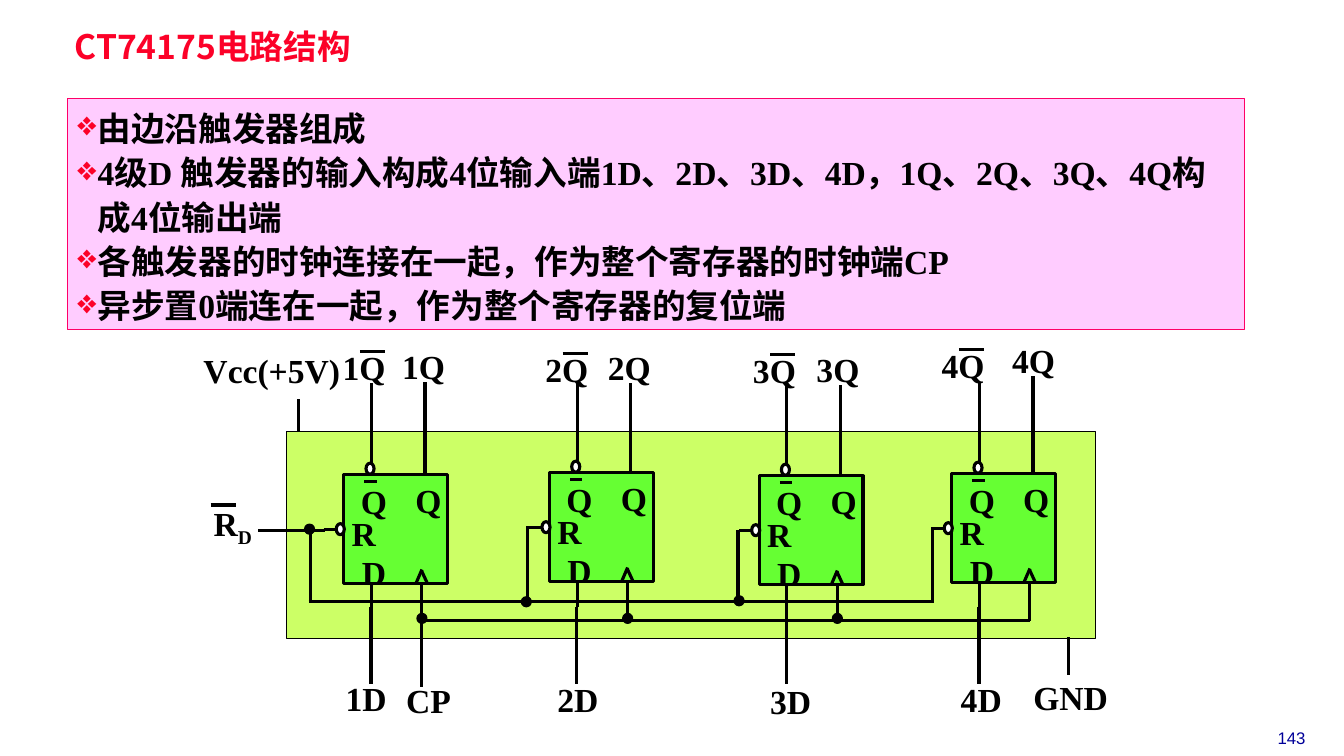
from lxml import etree
from pptx import Presentation, util as u
from pptx.dml.color import RGBColor
from pptx.enum import shapes, text
from pptx.oxml.ns import qn

BLACK, WHITE, RED = "000000", "FFFFFF", "FC0128"
ROMAN, HAN = "Times New Roman", "Noto Sans CJK SC"


def tint(code):
    return RGBColor.from_string(code)


class Board:
    """Draws styled elements on one slide, in grid cells of a tenth of an inch."""

    cell = u.Inches(0.1)
    pen = 2.25

    def __init__(self, slide):
        self.items = slide.shapes

    def span(self, *cells):
        return [round(n * self.cell) for n in cells]

    def shape(self, box, fill, kind="RECTANGLE", edge=BLACK, pen=pen):
        item = self.items.add_shape(
            getattr(shapes.MSO_SHAPE, kind), *self.span(*box))
        item.shadow.inherit = False
        item.fill.solid()
        item.fill.fore_color.rgb = tint(fill)
        item.line.color.rgb = tint(edge)
        item.line.width = u.Pt(pen)
        return item

    def line(self, x1, y1, x2, y2):
        item = self.items.add_connector(
            shapes.MSO_CONNECTOR.STRAIGHT, *self.span(x1, y1, x2, y2))
        item.line.color.rgb = tint(BLACK)
        item.line.width = u.Pt(self.pen)
        etree.SubElement(item._element.spPr, qn("a:effectLst"))

    def dot(self, x, y):
        self.shape((x, y, 0.8, 0.8), BLACK, "OVAL")

    def ring(self, x, y):
        self.shape((x, y, 0.8, 1.1), WHITE, "OVAL")

    def run(self, para, words, size=24, face=ROMAN, color=BLACK, bold=True):
        run = para.add_run()
        run.text = words
        font = run.font
        font.size, font.name, font.bold = u.Pt(size), face, bold
        font.color.rgb = tint(color)
        etree.SubElement(font._element, qn("a:ea")).set("typeface", HAN)
        return run

    def label(self, words, x, y, wide, high=5, **style):
        item = self.items.add_textbox(*self.span(x, y, wide, high))
        frame = item.text_frame
        frame.word_wrap = True
        self.run(frame.paragraphs[0], words, **style)
        return frame

    def bullets(self, item, lines):
        frame = item.text_frame
        frame.word_wrap = True
        frame.vertical_anchor = text.MSO_ANCHOR.TOP
        for i, words in enumerate(lines):
            para = frame.add_paragraph() if i else frame.paragraphs[0]
            para.alignment = text.PP_ALIGN.LEFT
            para.line_spacing = 1.1
            props = para._p.get_or_add_pPr()
            indent = self.span(2)[0]
            props.set("marL", str(indent))
            props.set("indent", str(-indent))
            hue = etree.SubElement(props, qn("a:buClr"))
            etree.SubElement(hue, qn("a:srgbClr")).set("val", RED)
            etree.SubElement(props, qn("a:buChar")).set("char", "❖")
            self.run(para, words)


def flip(board, x, y):
    board.shape((x, y, 10.3, 10.8), "66FF33")
    board.ring(x - 0.75, y + 4.85)
    board.ring(x + 2.2, y - 1.15)
    for x1, y1, x2, y2 in (
            (-2, 5.4, -0.7, 5.4), (2.75, 10.8, 2.75, 13.3),
            (7.75, 10.8, 7.75, 13.3), (7.15, 10.8, 7.75, 9.4),
            (7.7, 9.5, 8.3, 10.8), (2.05, 0.7, 3.25, 0.7),
            (8.05, -2.4, 8.05, 0.1), (2.75, -3.5, 2.75, -1)):
        board.line(x + x1, y + y1, x + x2, y + y2)
    for words, dx, dy, wide in (("R", -0.2, 3.3, 2), ("D", 0.8, 7.2, 2.4),
                                ("Q", 6.1, 0, 2.5), ("Q", 0.7, 0.15, 2.1)):
        board.label(words, x + dx, y + dy, wide)


STAGES = (
    ((34.1, 47.1), (33, 33.9), (38.9, 33.8), (33.3, 66.8)),
    ((54.5, 46.9), (53.1, 34.1), (59.3, 33.9), (54.3, 66.9)),
    ((75.3, 47.2), (73.7, 34.2), (80, 34.1), (75.4, 67.1)),
    ((94.4, 47), (92.4, 33.7), (99.4, 33.2), (94.3, 66.9)),
)


def main():
    deck = Presentation()
    deck.slide_width, deck.slide_height = u.Inches(13.33), u.Inches(7.5)
    board = Board(deck.slides.add_slide(deck.slide_layouts[6]))

    page = board.label("143", 123.4, 71.7, 9.4, 3, size=12, face="Arial",
                       color="000099", bold=False)
    page.paragraphs[0].alignment = text.PP_ALIGN.CENTER

    panel = board.shape((6.7, 9.8, 116.7, 22.9), "FFCCFF",
                        edge="FF0066", pen=0.75)
    board.bullets(panel, (
        "由边沿触发器组成",
        "4级D 触发器的输入构成4位输入端1D、2D、3D、4D，1Q、2Q、3Q、4Q构成4位输出端",
        "各触发器的时钟连接在一起，作为整个寄存器的时钟端CP",
        "异步置0端连在一起，作为整个寄存器的复位端"))

    title = board.label("CT74175电路结构", 6.7, 2.8, 57.5, 4.1,
                        face=HAN, color=RED)
    title.margin_left, title.margin_top = board.span(0.7, 0.3)
    title.margin_right, title.margin_bottom = board.span(0.7, 0.3)
    title.vertical_anchor = text.MSO_ANCHOR.MIDDLE
    title.paragraphs[0].line_spacing = 0.87

    board.shape((28.4, 42.8, 80.3, 20.5), "CCFF66", pen=0.75)
    for n, ((x, y), inv, out, data) in enumerate(STAGES, 1):
        flip(board, x, y)
        board.line(x + 2.75, 44.8, x + 2.75, 38)
        board.line(x + 8.05, 45, x + 8.05, out[1] + 4.1)
        board.line(x + 2.7, 60.2, x + 2.7, 67.9)
        board.line(x + 7.75, 60, x + 7.75, 68.2 if n == 1 else 61.6)
        board.label(f"{n}D", *data, 6.8)
        board.label(f"{n}Q", *out, 7.6)
        board.label(f"{n}Q", *inv, 7.7)
        board.line(inv[0] + 2.7, inv[1] + 1, inv[0] + 5.2, inv[1] + 1)
        if n < 4:
            board.dot(x + 7.35, 60.95)

    for x, y in ((30.8, 52.4), (52.3, 52.2), (73.2, 52.6), (92.5, 52.3)):
        board.line(x, y, x, 59.7)
    for ends in ((41.6, 61.6, 102.2, 61.6), (30.6, 59.7, 92.6, 59.7),
                 (32.2, 52.6, 25.6, 52.6), (29.6, 42.8, 29.6, 39.6),
                 (106, 63.2, 106, 67), (20.9, 50.1, 23.4, 50.1)):
        board.line(*ends)
    for x, y in ((30.3, 52.1), (51.8, 59.3), (72.9, 59.2)):
        board.dot(x, y)

    board.label("CP", 39.3, 67, 8.7)
    board.label("Vcc(+5V)", 19.2, 34.2, 16)
    board.label("GND", 101.5, 66.7, 10.8)
    reset = board.label("R", 20.2, 49.4, 8.2)
    sub = board.run(reset.paragraphs[0], "D")
    sub.font._element.set("baseline", "-25000")

    deck.save("out.pptx")


if __name__ == "__main__":
    main()
